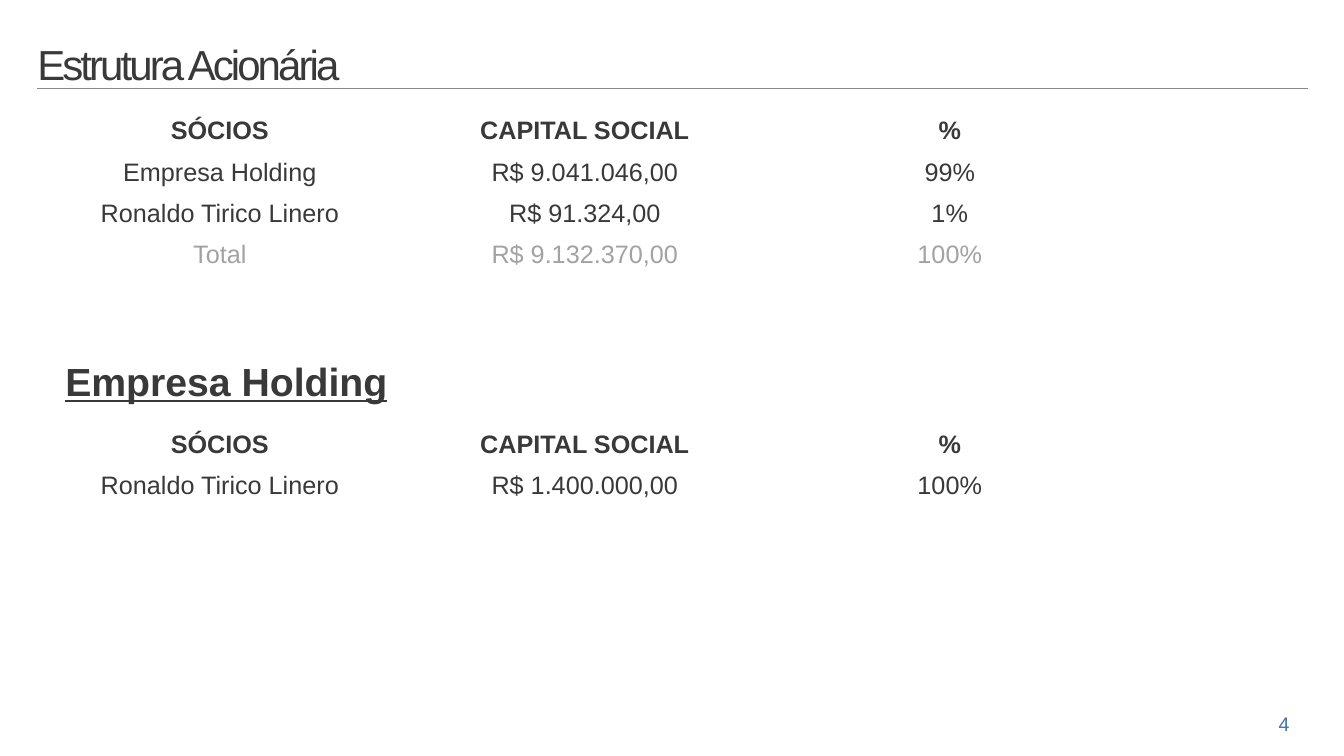
from dataclasses import dataclass

from lxml import etree
from pptx import Presentation
from pptx import util as u
from pptx.dml.color import RGBColor
from pptx.enum import shapes, text
from pptx.oxml.ns import qn


@dataclass(frozen=True)
class Theme:
    font: str = "Arial"
    ink: str = "393939"
    muted: str = "A2A2A2"
    rule: str = "888888"
    accent: str = "3B72B8"
    title: float = 30
    heading: float = 28
    body: float = 18
    number: float = 14


theme = Theme()


def write(paragraph, words, size, color=theme.ink, align=text.PP_ALIGN.LEFT, **extras):
    paragraph.alignment = align
    run = paragraph.add_run()
    run.text = words
    run.font.color.rgb = RGBColor.from_string(color)
    for name, value in {"name": theme.font, "size": u.Pt(size), **extras}.items():
        setattr(run.font, name, value)
    return run


def add_label(slide, box, words, size, **formats):
    label = slide.shapes.add_textbox(*map(u.Inches, box))
    label.text_frame.word_wrap = True
    write(label.text_frame.paragraphs[0], words, size, **formats)


presentation = Presentation()
presentation.slide_width = u.Inches(13.33)
presentation.slide_height = u.Inches(7.5)
slide = presentation.slides.add_slide(presentation.slide_layouts[5])

left = 0.37
rule_top = 0.88
rule = slide.shapes.add_connector(
    shapes.MSO_CONNECTOR.STRAIGHT, *map(u.Inches, (left, rule_top, 12.97, rule_top))
)
rule.line.color.rgb = RGBColor.from_string(theme.rule)
rule.line.width = u.Pt(0.85)
etree.SubElement(rule._element.spPr, qn("a:effectLst"))

title = slide.shapes.title
title_box = {"left": left, "top": 0.12, "width": 6.41, "height": 0.76}
for name, value in title_box.items():
    setattr(title, name, u.Inches(value))
title_frame = title.text_frame
title_format = {
    "margin_left": 0,
    "margin_right": 0,
    "margin_top": u.Inches(0.07),
    "margin_bottom": 0,
    "vertical_anchor": text.MSO_ANCHOR.BOTTOM,
    "auto_size": text.MSO_AUTO_SIZE.NONE,
    "word_wrap": True,
}
for name, value in title_format.items():
    setattr(title_frame, name, value)
title_frame.paragraphs[0].line_spacing = 0.85
title_run = write(title_frame.paragraphs[0], "Estrutura Acionária", theme.title)
title_run.font._element.set("spc", "-210")

header = ("SÓCIOS", "CAPITAL SOCIAL", "%")
row_count = 4
row_height = 0.41
column_width = 3.62
holdings = {
    1.11: [
        header,
        ("Empresa Holding", "R$ 9.041.046,00", "99%"),
        ("Ronaldo Tirico Linero", "R$ 91.324,00", "1%"),
        ("Total", "R$ 9.132.370,00", "100%"),
    ],
    4.22: [
        header,
        ("Ronaldo Tirico Linero", "R$ 1.400.000,00", "100%"),
    ],
}
for top, rows in holdings.items():
    box = (left, top, len(header) * column_width, row_count * row_height)
    table = slide.shapes.add_table(row_count, len(header), *map(u.Inches, box)).table
    table.first_row = False
    table.horz_banding = False
    for cell in table.iter_cells():
        cell.fill.background()
    for row_index, row in enumerate(rows):
        color = theme.muted if row[0] == "Total" else theme.ink
        for column_index, words in enumerate(row):
            write(
                table.cell(row_index, column_index).text_frame.paragraphs[0],
                words,
                theme.body,
                color,
                text.PP_ALIGN.CENTER,
                bold=row is header,
            )

add_label(slide, (0.55, 3.5, 4.04, 0.57), "Empresa Holding", theme.heading,
          bold=True, underline=True)
add_label(slide, (12.47, 7.01, 0.53, 0.34), "4", theme.number,
          color=theme.accent, align=text.PP_ALIGN.CENTER)

presentation.save("out.pptx")
